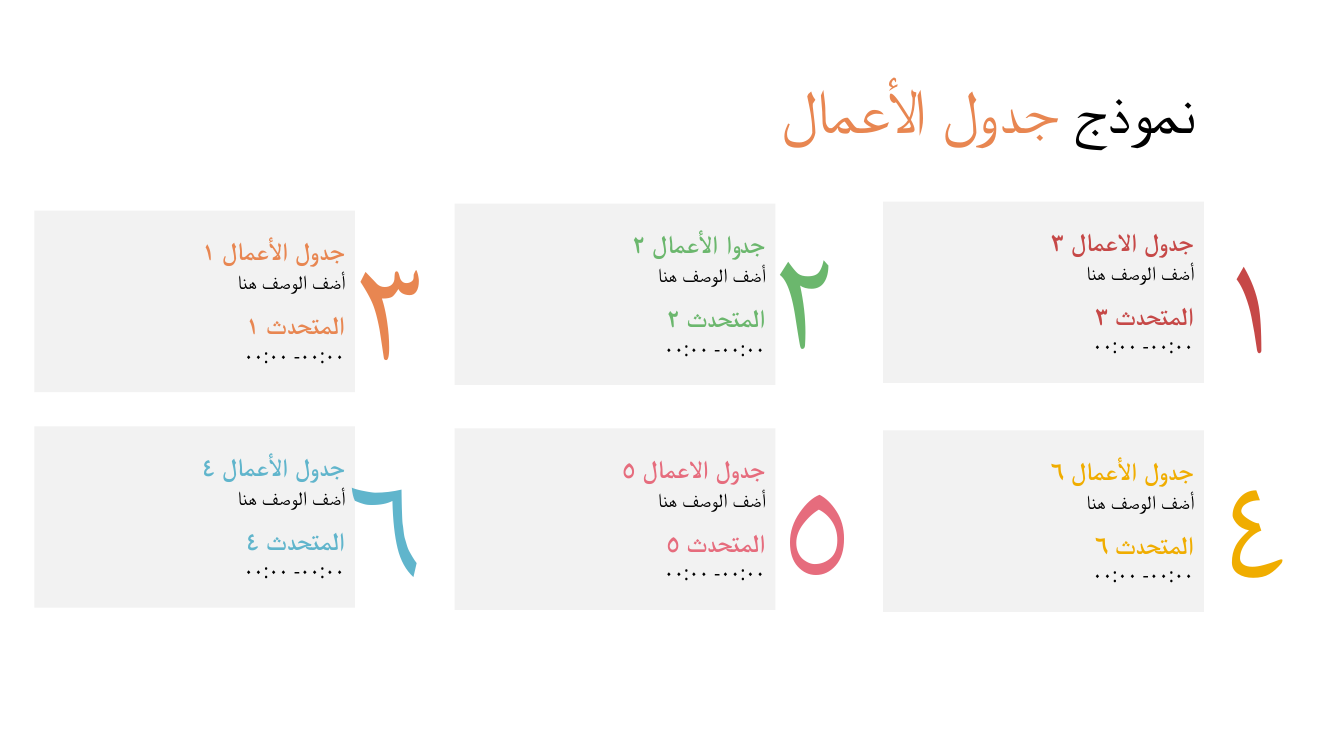
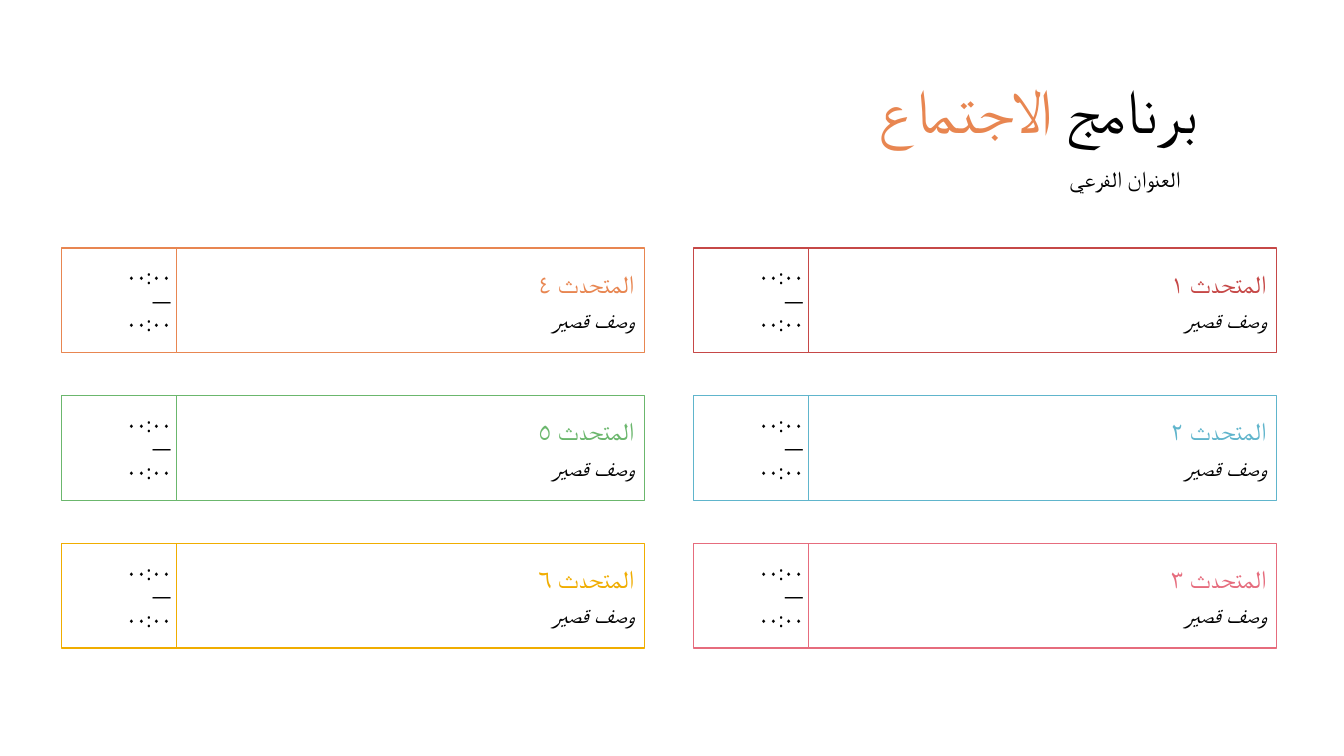
from pptx import Presentation
from pptx.dml.color import RGBColor
from pptx.enum.shapes import MSO_SHAPE
from pptx.enum.text import MSO_ANCHOR, MSO_AUTO_SIZE, PP_ALIGN
from pptx.oxml.ns import qn
from pptx.util import Inches, Pt

RECT, ROUND = MSO_SHAPE.RECTANGLE, MSO_SHAPE.ROUNDED_RECTANGLE
MIDDLE, TOP = MSO_ANCHOR.MIDDLE, MSO_ANCHOR.TOP
RIGHT, GROW = PP_ALIGN.RIGHT, MSO_AUTO_SIZE.SHAPE_TO_FIT_TEXT

# Shared style
HEAD, BODY = "Montserrat", "Open Sans"
BLACK, WHITE, GREY = "000000", "FFFFFF", "F2F2F2"
ORANGE, GREEN, RED = "E88651", "6BB76D", "C64847"
BLUE, PINK, GOLD = "60B5CC", "E66C7D", "F0AD00"

# Agenda cards: heading, speaker, colour, card left and top, numeral, its left and top
HINT, SPAN = "أضف الوصف هنا", "٠٠:٠٠- ٠٠:٠٠"
CARDS = [
    ("جدول الأعمال ١", "المتحدث ١", ORANGE, 0.34, 2.09, "٣", 3.37, 2.12),
    ("جدوا الأعمال ٢", "المتحدث ٢", GREEN, 4.51, 2.02, "٢", 7.48, 2.01),
    ("جدول الاعمال ٣", "المتحدث ٣", RED, 8.76, 2.0, "١", 11.9, 2.05),
    ("جدول الأعمال ٤", "المتحدث ٤", BLUE, 0.34, 4.23, "٦", 3.31, 4.27),
    ("جدول الاعمال ٥", "المتحدث ٥", PINK, 4.51, 4.25, "٥", 7.6, 4.27),
    ("جدول الأعمال ٦", "المتحدث ٦", GOLD, 8.76, 4.27, "٤", 11.95, 4.28),
]

# Meeting programme, left column first
HOURS, NOTE = ["٠٠:٠٠", "—", "٠٠:٠٠"], "وصف قصير"
COLUMNS = [
    (0.61, [("المتحدث ٤", ORANGE), ("المتحدث ٥", GREEN), ("المتحدث ٦", GOLD)]),
    (6.88, [("المتحدث ١", RED), ("المتحدث ٢", BLUE), ("المتحدث ٣", PINK)]),
]
FIRST, LAST, HIGH = 2.46, 5.39, 1.04


def rgb(code):
    return RGBColor.from_string(code)


def style(run, size, face, color, bold=False, italic=False):
    font = run.font
    font.size, font.name = Pt(size), face
    font.bold, font.italic = bold, italic
    font.color.rgb = rgb(color)
    script = run._r.get_or_add_rPr().makeelement(qn("a:cs"), {"typeface": face})
    run._r.rPr.append(script)


def write(shape, lines, anchor=MIDDLE, spacing=None):
    """Each line is (space before, runs); a run is (text, *style)."""
    frame = shape.text_frame
    frame.word_wrap, frame.vertical_anchor = True, anchor
    for i, (before, runs) in enumerate(lines):
        para = frame.add_paragraph() if i else frame.paragraphs[0]
        para.alignment = RIGHT
        para._p.get_or_add_pPr().set("rtl", "1")
        if before:
            para.space_before = Pt(before)
        if spacing:
            para.line_spacing = spacing
        for text, *look in runs:
            run = para.add_run()
            run.text = text
            style(run, *look)


def label(shapes, x, y, w, h, lines, **options):
    box = shapes.add_textbox(Inches(x), Inches(y), Inches(w), Inches(h))
    write(box, lines, **options)
    return box


def panel(shapes, kind, x, y, w, h, fill, lines, line=None):
    box = shapes.add_shape(kind, Inches(x), Inches(y), Inches(w), Inches(h))
    box.shadow.inherit = False
    box.fill.solid()
    box.fill.fore_color.rgb = rgb(fill)
    if line:
        box.line.color.rgb, box.line.width = rgb(line), Pt(1)
    else:
        box.line.fill.background()
    if kind == ROUND:
        box.adjustments[0] = 0
    write(box, lines)


def new_slide(deck, plain, accent):
    shapes = deck.slides.add_slide(deck.slide_layouts[6]).shapes
    runs = [(plain, 44, HEAD, BLACK), (accent, 44, HEAD, ORANGE)]
    label(shapes, 0.47, 0.4, 11.5, 1.45, [(0, runs)], spacing=0.9)
    return shapes


def agenda(deck):
    shapes = new_slide(deck, "نموذج ", "جدول الأعمال")
    for head, speaker, color, x, y, digit, dx, dy in CARDS:
        group = shapes.add_group_shape().shapes
        lines = [
            (0, [(head, 18, HEAD, color, True)]),
            (2.8, [(HINT, 14, BODY, BLACK)]),
            (11.3, [(speaker, 18, HEAD, color, True)]),
            (2.8, [(SPAN, 14, BODY, BLACK)]),
        ]
        panel(group, RECT, x, y, 3.18, 1.8, GREY, lines)
        box = label(group, dx, dy, 0.95, 1.77,
                    [(0, [(digit, 100, HEAD, color)])], anchor=TOP)
        box.text_frame.auto_size = GROW


def programme(deck):
    shapes = new_slide(deck, "برنامج ", "الاجتماع")
    label(shapes, 5.71, 1.62, 6.1, 0.34,
          [(0, [("العنوان الفرعي", 16, BODY, BLACK)])], spacing=0.9)
    hours = [(0, [(text, 14, BODY, BLACK)]) for text in HOURS]
    for x, rows in COLUMNS:
        step = (LAST - FIRST) / (len(rows) - 1)
        for i, (speaker, color) in enumerate(rows):
            y = FIRST + i * step
            lines = [
                (0, [(speaker, 18, HEAD, color)]),
                (5.6, [(NOTE, 16, BODY, BLACK, False, True)]),
            ]
            panel(shapes, ROUND, x, y, 1.19, HIGH, WHITE, hours, color)
            panel(shapes, ROUND, x + 1.14, y, 4.64, HIGH, WHITE, lines, color)


def main():
    deck = Presentation()
    deck.slide_width, deck.slide_height = Inches(13.33), Inches(7.5)
    agenda(deck)
    programme(deck)
    deck.save("out.pptx")


if __name__ == "__main__":
    main()
